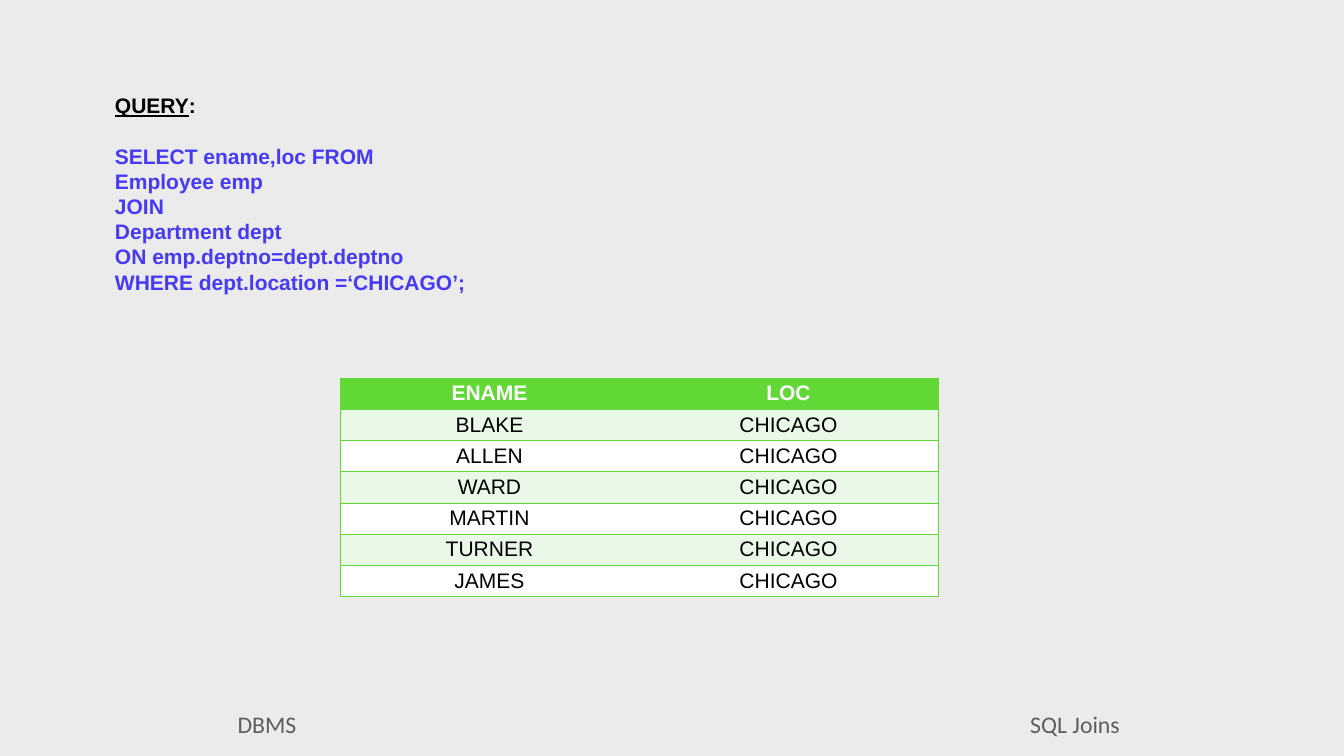
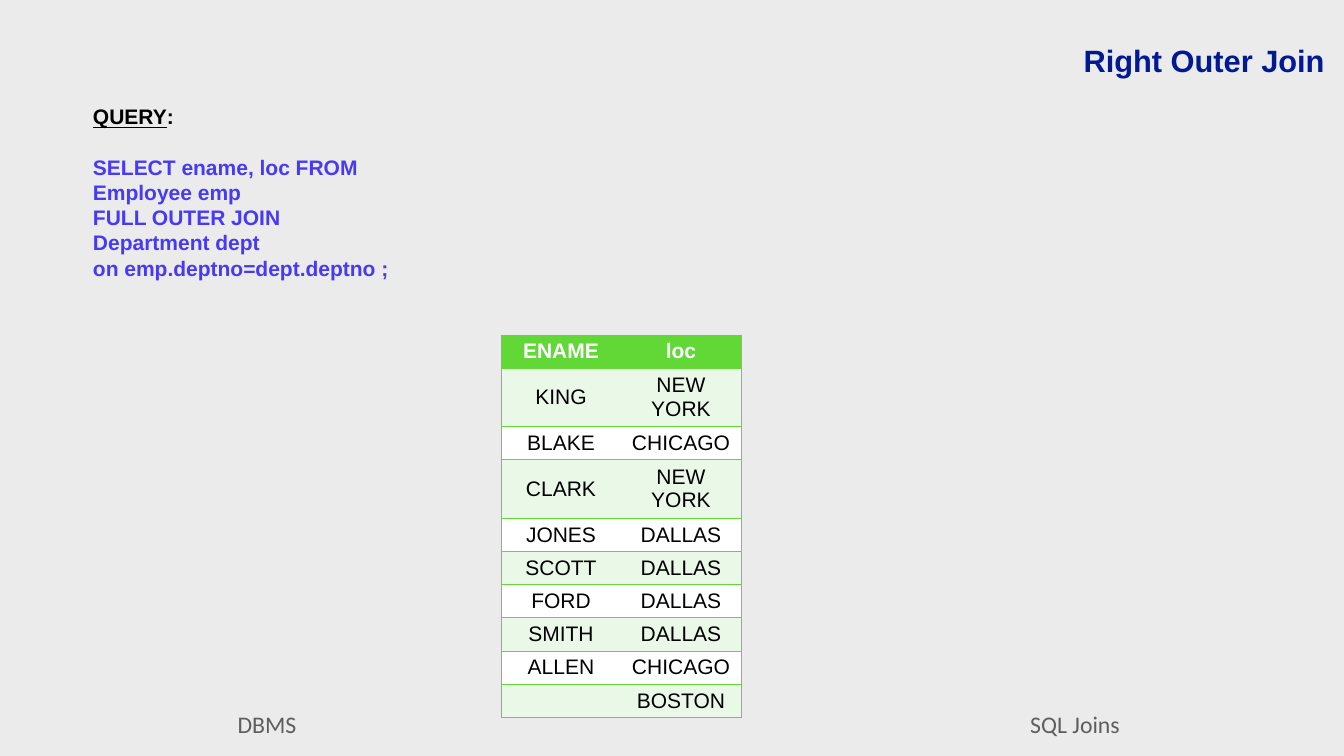
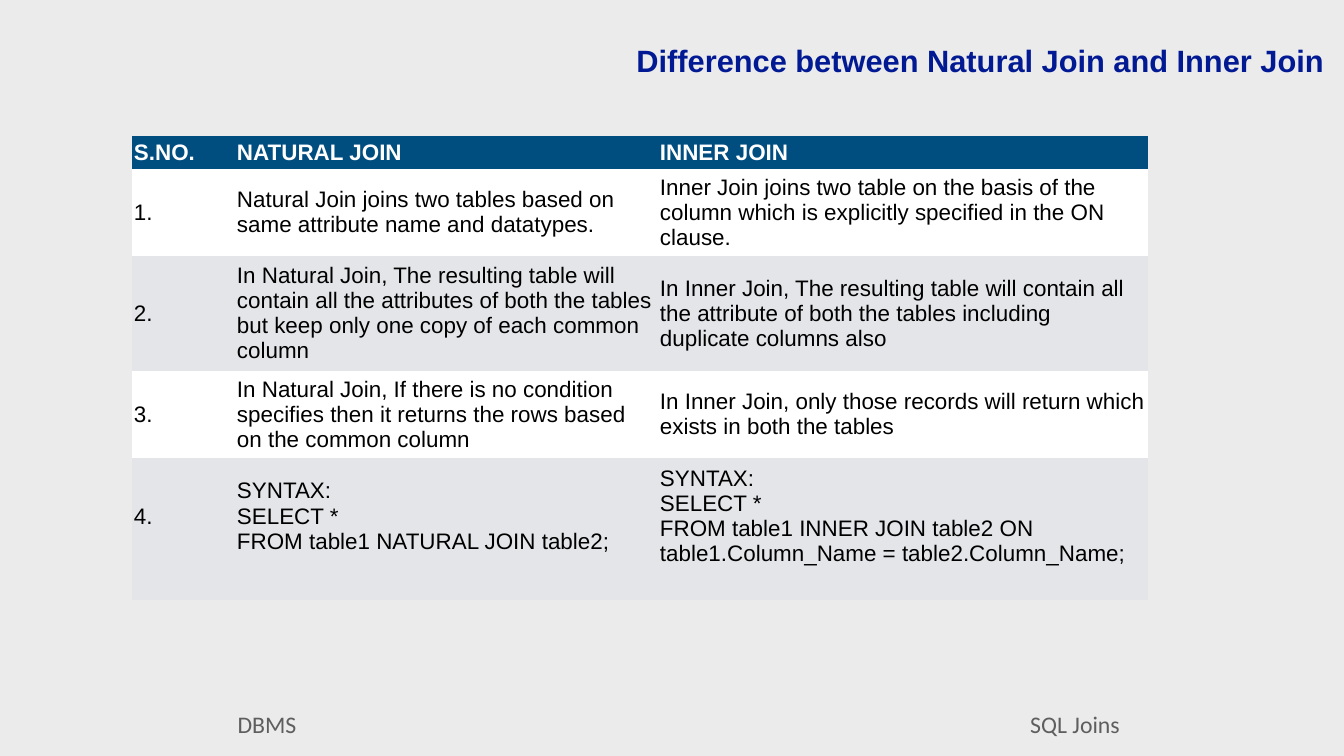
"""Build three slides about SQL joins: two queries with results and one comparison."""
import dataclasses

import pptx
import pptx.dml.color
import pptx.enum.shapes
import pptx.enum.text
import pptx.oxml
import pptx.oxml.ns
import pptx.util

ALIGN = pptx.enum.text.PP_ALIGN
ANCHOR = pptx.enum.text.MSO_ANCHOR
WIDTH, HEIGHT = 1344, 756
SCALE = 24384000 / WIDTH


@dataclasses.dataclass(frozen=True)
class Theme:
    ground: str = "EBEBEB"
    ink: str = "000000"
    white: str = "FFFFFF"
    title: str = "011993"
    sql: str = "473AF4"
    footer: str = "5E5E5E"
    green: str = "61D836"
    mint: str = "EAF8E8"
    navy: str = "004D80"
    silver: str = "E3E5E8"
    font: str = "Arial"
    footer_font: str = "Calibri"
    title_size: int = 44
    footer_size: int = 34
    query_size: int = 30
    query_pitch: int = 36
    compare_size: int = 32


T = Theme()

TITLE_BOX = (490, 39, 838, 43)
FOOTERS = {"DBMS": (21, 704, 492, 39), "SQL Joins": (829, 704, 492, 39)}

RESULT_STYLE = dict(head=T.green, bands=(T.mint, T.white), border=T.green,
                    size=T.query_size, align=ALIGN.CENTER)
COMPARE_STYLE = dict(head=T.navy, bands=(T.white, T.silver), border=None,
                     size=T.compare_size, align=ALIGN.LEFT)

SLIDES = [
    {
        "query": {
            "box": (112, 89, 871, 209), "inset": (3, 3), "anchor": ANCHOR.MIDDLE,
            "lines": ["SELECT ename,loc FROM", "Employee emp", "JOIN", "Department dept",
                      "ON emp.deptno=dept.deptno", "WHERE dept.location =‘CHICAGO’;"],
        },
        "table": {
            "at": (340, 378), "cols": [299, 299], "rows": [30] * 7, "inset": (5, 3),
            "style": RESULT_STYLE,
            "cells": [("ENAME", "LOC"), ("BLAKE", "CHICAGO"), ("ALLEN", "CHICAGO"),
                      ("WARD", "CHICAGO"), ("MARTIN", "CHICAGO"), ("TURNER", "CHICAGO"),
                      ("JAMES", "CHICAGO")],
        },
    },
    {
        "title": "Right Outer Join",
        "query": {
            "box": (88, 101, 1148, 183), "inset": (5, 3), "anchor": ANCHOR.TOP,
            "lines": ["SELECT ename, loc FROM", "Employee emp", "FULL OUTER JOIN",
                      "Department dept", "on emp.deptno=dept.deptno ;"],
        },
        "table": {
            "at": (501, 335), "cols": [120, 120], "rows": [32, 33] * 5, "inset": (5, 4),
            "style": RESULT_STYLE,
            "cells": [("ENAME", "loc"), ("KING", "NEW YORK"), ("BLAKE", "CHICAGO"),
                      ("CLARK", "NEW YORK"), ("JONES", "DALLAS"), ("SCOTT", "DALLAS"),
                      ("FORD", "DALLAS"), ("SMITH", "DALLAS"), ("ALLEN", "CHICAGO"),
                      ("", "BOSTON")],
        },
    },
    {
        "title": "Difference between Natural Join and Inner Join",
        "table": {
            "at": (132, 136), "cols": [103, 423, 490], "rows": [32, 87, 115, 87, 142],
            "inset": (2, 3), "tail": 25, "style": COMPARE_STYLE,
            "cells": [
                ("S.NO.", "NATURAL JOIN", "INNER JOIN"),
                ("1.",
                 "Natural Join joins two tables based on same attribute name and datatypes.",
                 "Inner Join joins two table on the basis of the column which is explicitly "
                 "specified in the ON clause."),
                ("2.",
                 "In Natural Join, The resulting table will contain all the attributes of both "
                 "the tables but keep only one copy of each common column",
                 "In Inner Join, The resulting table will contain all the attribute of both "
                 "the tables including duplicate columns also"),
                ("3.",
                 "In Natural Join, If there is no condition specifies then it returns the rows "
                 "based on the common column",
                 "In Inner Join, only those records will return which exists in both the tables"),
                ("4.",
                 "SYNTAX:\nSELECT *\nFROM table1 NATURAL JOIN table2;",
                 "SYNTAX:\nSELECT *\nFROM table1 INNER JOIN table2 ON "
                 "table1.Column_Name = table2.Column_Name;"),
            ],
        },
    },
]


def px(*values):
    return [pptx.util.Emu(round(v * SCALE)) for v in values]


def rgb(code):
    return pptx.dml.color.RGBColor.from_string(code)


def paint(obj, color):
    obj.fill.solid()
    obj.fill.fore_color.rgb = rgb(color)


def set_margins(obj, inset, tail=0):
    x, y = inset
    obj.margin_left, obj.margin_top, obj.margin_right, obj.margin_bottom = px(x, y, x, y + tail)


def write(p, text, size, color=T.ink, font=T.font, bold=False, underline=False,
          align=ALIGN.LEFT):
    p.alignment = align
    for i, line in enumerate(text.split("\n")):
        if i:
            p.add_line_break()
        r = p.add_run()
        r.text = line
        r.font.name, r.font.size = font, pptx.util.Pt(size)
        r.font.bold, r.font.underline = bold, underline
        r.font.color.rgb = rgb(color)


def add_text_box(s, box, inset, anchor):
    tf = s.shapes.add_textbox(*px(*box)).text_frame
    tf.word_wrap = True
    tf.vertical_anchor = anchor
    set_margins(tf, inset)
    return tf


def add_title(s, text):
    tf = add_text_box(s, TITLE_BOX, (3, 3), ANCHOR.MIDDLE)
    write(tf.paragraphs[0], text, T.title_size, T.title, bold=True, align=ALIGN.RIGHT)


def add_query(s, box, inset, anchor, lines):
    tf = add_text_box(s, box, inset, anchor)
    p = tf.paragraphs[0]
    write(p, "QUERY", T.query_size, bold=True, underline=True)
    write(p, ":", T.query_size, bold=True)
    p.space_after = pptx.util.Pt(T.query_pitch)
    for line in lines:
        write(tf.add_paragraph(), line, T.query_size, T.sql, bold=True)
    for p in tf.paragraphs:
        p.line_spacing = pptx.util.Pt(T.query_pitch)


def add_footer(s, text):
    sp = s.shapes.add_shape(pptx.enum.shapes.MSO_SHAPE.RECTANGLE, *px(*FOOTERS[text]))
    sp.shadow.inherit = False
    paint(sp, T.ground)
    sp.line.fill.background()
    tf = sp.text_frame
    tf.vertical_anchor = ANCHOR.MIDDLE
    set_margins(tf, (0, 0))
    write(tf.paragraphs[0], text, T.footer_size, T.footer, T.footer_font, align=ALIGN.CENTER)


def set_borders(cell, colors):
    pr = cell._tc.get_or_add_tcPr()
    for side, color in colors.items():
        fill = f'<a:solidFill><a:srgbClr val="{color}"/></a:solidFill>' if color else "<a:noFill/>"
        pr.append(pptx.oxml.parse_xml(
            f'<a:ln{side} {pptx.oxml.ns.nsdecls("a")} w="12700">{fill}</a:ln{side}>'))


def add_grid(s, at, cols, rows, inset, style, cells, tail=0):
    frame = s.shapes.add_table(len(rows), len(cols), *px(*at, sum(cols), sum(rows)))
    table = frame.table
    table.horz_banding = False
    for col, width in zip(table.columns, px(*cols)):
        col.width = width
    for row, height in zip(table.rows, px(*rows)):
        row.height = height
    border = style["border"]
    for i, texts in enumerate(cells):
        head = i == 0
        for j, text in enumerate(texts):
            cell = table.cell(i, j)
            set_borders(cell, {"L": border if j == 0 else None,
                               "R": border if j == len(cols) - 1 else None,
                               "T": border, "B": border})
            paint(cell, style["head"] if head else style["bands"][(i - 1) % 2])
            cell.vertical_anchor = ANCHOR.MIDDLE
            set_margins(cell, inset, tail if i == len(rows) - 1 else 0)
            p = cell.text_frame.paragraphs[0]
            p.font.size = pptx.util.Pt(style["size"])
            if text:
                write(p, text, style["size"], T.white if head else T.ink, bold=head,
                      align=style["align"])


def main():
    prs = pptx.Presentation()
    prs.slide_width, prs.slide_height = px(WIDTH, HEIGHT)
    paint(prs.slide_master.background, T.ground)
    for content in SLIDES:
        s = prs.slides.add_slide(prs.slide_layouts[6])
        add_footer(s, "DBMS")
        if "query" in content:
            add_query(s, **content["query"])
        if "title" in content:
            add_title(s, content["title"])
        add_grid(s, **content["table"])
        add_footer(s, "SQL Joins")
    prs.save("out.pptx")


if __name__ == "__main__":
    main()
